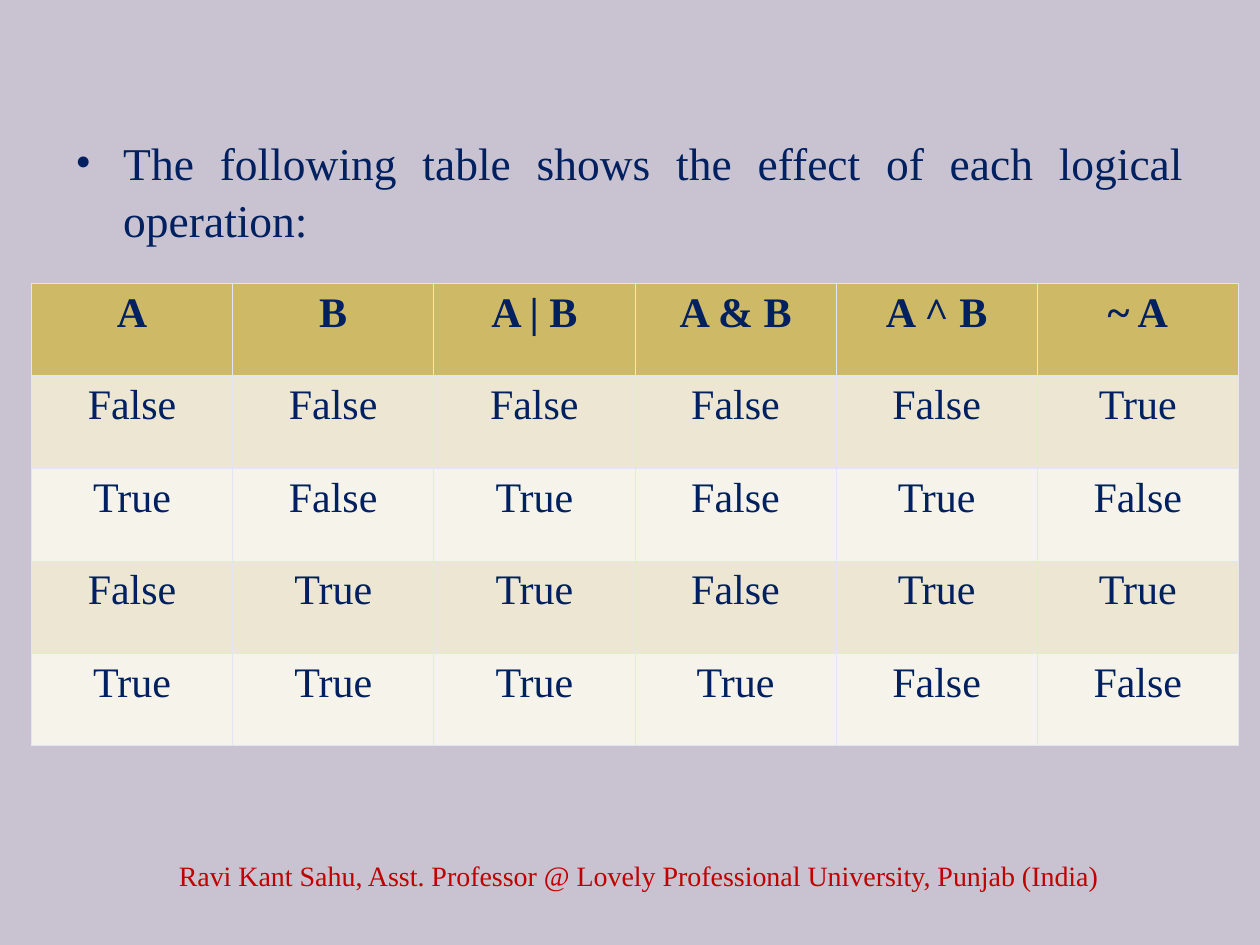
from lxml import etree
from pptx import Presentation
from pptx import util as u
from pptx.dml.color import RGBColor
from pptx.enum import text
from pptx.oxml import ns

FONT = "Times New Roman"
LILAC = RGBColor(0xC9, 0xC2, 0xD1)
NAVY = RGBColor(0x00, 0x20, 0x60)
RED = RGBColor(0xC0, 0x00, 0x00)
GOLD = RGBColor(0xCE, 0xB9, 0x66)
SAND = RGBColor(0xED, 0xE6, 0xD3)
CREAM = RGBColor(0xF6, 0xF3, 0xEA)
BORDER = RGBColor(0xE0, 0xE6, 0xF5)


def write(frame, words, size, color=NAVY, bold=False, align=text.PP_ALIGN.CENTER):
    """Put one formatted paragraph into a text frame and return it."""
    para = frame.paragraphs[0]
    para.alignment = align
    span = para.add_run()
    span.text = words
    span.font.name = FONT
    span.font.size = u.Pt(size)
    span.font.bold = bold
    span.font.color.rgb = color
    return para


def add_border(cell, side, points):
    """Draw one side of a table cell: L, R, T or B."""
    line = etree.SubElement(cell._tc.get_or_add_tcPr(), ns.qn(f"a:ln{side}"),
                            w=str(u.Pt(points)))
    fill = etree.SubElement(line, ns.qn("a:solidFill"))
    etree.SubElement(fill, ns.qn("a:srgbClr"), val=str(BORDER))


deck = Presentation()
deck.slide_width, deck.slide_height = u.Inches(10), u.Inches(7.5)
page = deck.slides.add_slide(deck.slide_layouts[6])
page.background.fill.solid()
page.background.fill.fore_color.rgb = LILAC

# Bulleted introduction
intro = page.shapes.add_textbox(u.Inches(0.5), u.Inches(1), u.Inches(9), u.Inches(3.42))
intro.text_frame.word_wrap = True
para = write(intro.text_frame, "The following table shows the effect of each logical operation:",
             26, align=text.PP_ALIGN.JUSTIFY)
para.line_spacing = 1.05
properties = para._p.get_or_add_pPr()
properties.set("marL", str(u.Inches(0.38)))
properties.set("indent", str(u.Inches(-0.38)))
bullet_color = etree.SubElement(properties, ns.qn("a:buClr"))
etree.SubElement(bullet_color, ns.qn("a:srgbClr"), val=str(NAVY))
etree.SubElement(properties, ns.qn("a:buFont"), typeface=FONT)
etree.SubElement(properties, ns.qn("a:buChar"), char="•")

# Truth table
rows = [
    ["A", "B", "A | B", "A & B", "A ^ B", "~ A"],
    ["False", "False", "False", "False", "False", "True"],
    ["True", "False", "True", "False", "True", "False"],
    ["False", "True", "True", "False", "True", "True"],
    ["True", "True", "True", "True", "False", "False"],
]
table = page.shapes.add_table(len(rows), len(rows[0]), u.Inches(0.25), u.Inches(2.25),
                              u.Inches(9.58), u.Inches(3.67)).table
for r, values in enumerate(rows):
    is_header = r == 0
    row_color = GOLD if is_header else SAND if r % 2 else CREAM
    for c, value in enumerate(values):
        cell = table.cell(r, c)
        write(cell.text_frame, value, 24, bold=is_header)
        # The rule between header and body is heavier
        add_border(cell, "L", 0.45)
        add_border(cell, "R", 0.45)
        add_border(cell, "T", 1.47 if r == 1 else 0.45)
        add_border(cell, "B", 1.47 if is_header else 0.45)
        cell.fill.solid()
        cell.fill.fore_color.rgb = row_color

# Footer
footer = page.shapes.add_textbox(u.Inches(0.92), u.Inches(6.75), u.Inches(8.3), u.Inches(0.4))
footer.text_frame.word_wrap = True
footer.text_frame.vertical_anchor = text.MSO_ANCHOR.MIDDLE
write(footer.text_frame,
      "Ravi Kant Sahu, Asst. Professor @ Lovely Professional University, Punjab (India)",
      16, color=RED)

deck.save("out.pptx")
